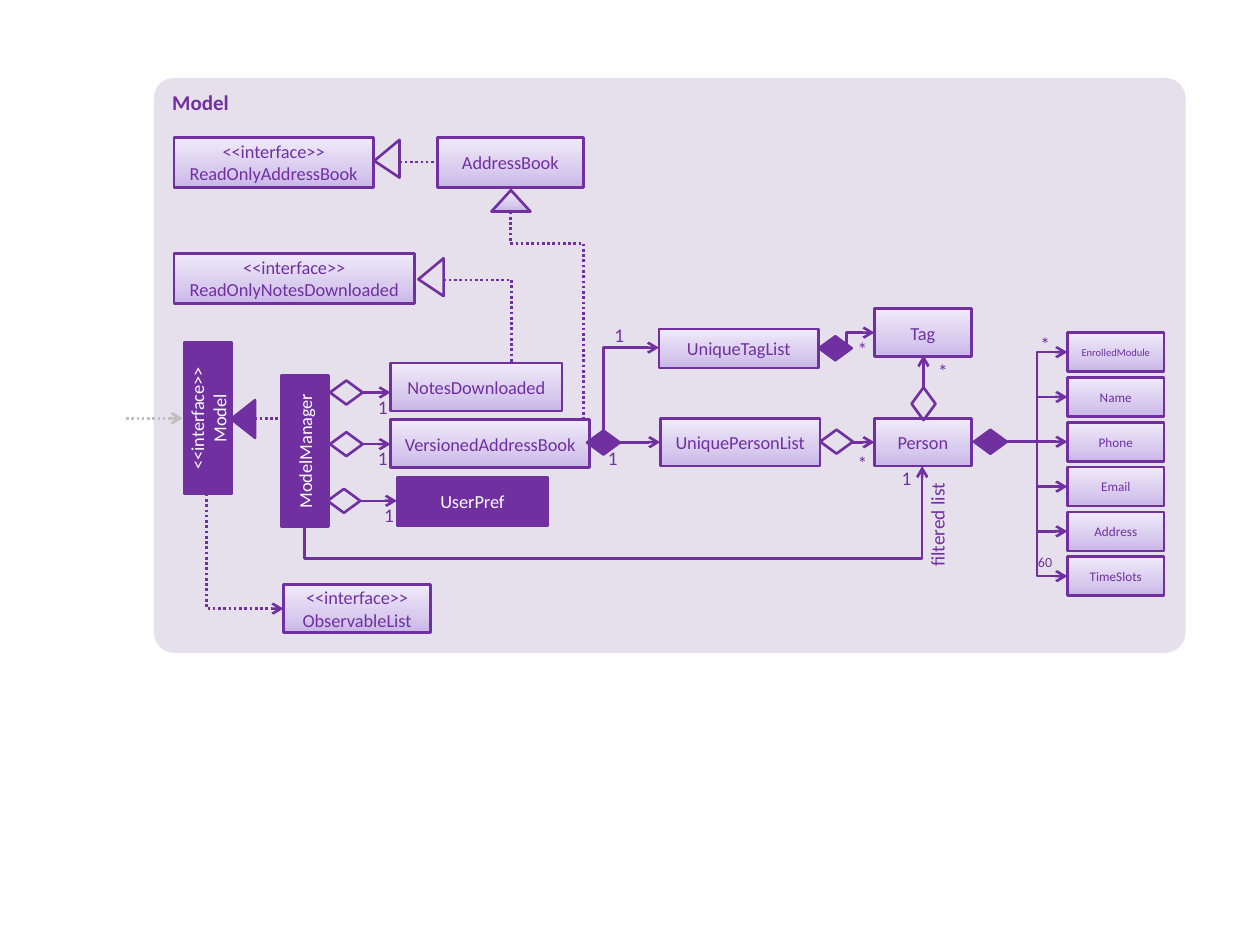
from copy import deepcopy
from dataclasses import dataclass

from lxml import etree
from pptx import Presentation
from pptx.dml.color import RGBColor
from pptx.enum.dml import MSO_LINE
from pptx.enum.shapes import MSO_CONNECTOR, MSO_SHAPE
from pptx.enum.text import MSO_ANCHOR, PP_ALIGN
from pptx.oxml.ns import qn
from pptx.util import Pt

RECT, ROUNDED = MSO_SHAPE.RECTANGLE, MSO_SHAPE.ROUNDED_RECTANGLE
TRIANGLE, DIAMOND = MSO_SHAPE.ISOSCELES_TRIANGLE, MSO_SHAPE.FLOWCHART_DECISION
STRAIGHT, ELBOW = MSO_CONNECTOR.STRAIGHT, MSO_CONNECTOR.ELBOW
DOTTED = MSO_LINE.ROUND_DOT
TOP, MIDDLE = MSO_ANCHOR.TOP, MSO_ANCHOR.MIDDLE
LEFT, CENTER, RIGHT = PP_ALIGN.LEFT, PP_ALIGN.CENTER, PP_ALIGN.RIGHT


@dataclass(frozen=True)
class Theme:
    font: str = "Calibri"
    purple: str = "7030A0"
    panel: str = "E6E0EC"
    white: str = "FFFFFF"
    grey: str = "BFBFBF"
    gradient: tuple = ((0, "C9B5E8"), (0.35, "D8CBEE"), (1, "F0EAF9"))
    title: float = 12
    label: float = 11
    node: float = 10.5
    small_label: float = 8
    field: float = 7.5
    small_field: float = 6
    line: float = 1.5


T = Theme()
GRADIENT = "gradient"
NODE_H = 27.4
DIAMOND_W, DIAMOND_H = 18.7, 13.7


def rgb(value):
    return RGBColor.from_string(value)


def fill_gradient(s):
    s.fill.gradient()
    s.fill.gradient_angle = 90
    stops = s._element.spPr.find(".//" + qn("a:gsLst"))
    stops.insert(1, deepcopy(stops[0]))
    for stop, (position, color) in zip(s.fill.gradient_stops, T.gradient):
        stop.position = position
        stop.color.rgb = rgb(color)


def write(s, text, size, color, align=CENTER, anchor=MIDDLE, bold=False):
    tf = s.text_frame
    tf.word_wrap = True
    tf.vertical_anchor = anchor
    tf.text = text
    for p in tf.paragraphs:
        p.alignment = align
        for r in p.runs:
            r.font.name, r.font.size, r.font.bold = T.font, Pt(size), bold
            r.font.color.rgb = rgb(color)


class Region:
    """Draws parts relative to its top left corner, in points."""

    def __init__(self, slide, x, y):
        self.shapes, self.x, self.y = slide.shapes, x, y

    def frame(self, x, y, w, h, turned):
        """Frame of a part that covers x, y, w, h once turned."""
        if turned:
            x, y, w, h = x + (w - h) / 2, y + (h - w) / 2, h, w
        return [Pt(v) for v in (self.x + x, self.y + y, w, h)]

    def shape(self, kind, x, y, w, h, fill=None, turned=False, outline=True):
        s = self.shapes.add_shape(kind, *self.frame(x, y, w, h, turned))
        s.rotation = 270 if turned else 0
        s.shadow.inherit = False
        if fill == GRADIENT:
            fill_gradient(s)
        elif fill:
            s.fill.solid()
            s.fill.fore_color.rgb = rgb(fill)
        else:
            s.fill.background()
        if outline:
            s.line.color.rgb = rgb(T.purple)
            s.line.width = Pt(T.line)
        else:
            s.line.fill.background()
        return s

    def node(self, text, x, y, w, h=NODE_H, solid=False, turned=False, size=T.node):
        s = self.shape(RECT, x, y, w, h, T.purple if solid else GRADIENT, turned)
        write(s, text, size, T.white if solid else T.purple)

    def diamond(self, x, middle, solid=False):
        self.shape(DIAMOND, x, middle - DIAMOND_H / 2, DIAMOND_W, DIAMOND_H,
                   T.purple if solid else None)

    def label(self, text, x, y, size=T.label):
        sp = self.shapes.add_textbox(*self.frame(x, y, 15, 14.4, False))
        tf = sp.text_frame
        tf.margin_left = tf.margin_top = tf.margin_right = tf.margin_bottom = 0
        write(sp, text, size, T.purple, anchor=TOP)

    def wire(self, start, end, bends=0, vertical=False, adjust=None,
             dash=None, arrow=True, color=T.purple):
        """Line with 0, 1 or 2 bends; vertical means it leaves vertically."""
        (x1, y1), (x2, y2) = start, end
        if vertical:
            cx, cy, dx, dy = (x1 + x2) / 2, (y1 + y2) / 2, x2 - x1, y2 - y1
            x1, y1, x2, y2 = cx - dy / 2, cy + dx / 2, cx + dy / 2, cy - dx / 2
        c = self.shapes.add_connector(
            ELBOW if bends else STRAIGHT, Pt(self.x + x1), Pt(self.y + y1),
            Pt(self.x + x2), Pt(self.y + y2))
        c.rotation = 90 if vertical else 0
        c.line.color.rgb = rgb(color)
        c.line.width = Pt(T.line)
        if dash:
            c.line.dash_style = dash
        spPr = c._element.spPr
        geom = spPr.find(qn("a:prstGeom"))
        if bends == 1:
            geom.set("prst", "bentConnector2")
        if adjust is not None:
            etree.SubElement(geom.find(qn("a:avLst")), qn("a:gd"), name="adj1",
                             fmla=f"val {round(adjust * 100000)}")
        if arrow:
            etree.SubElement(spPr.find(qn("a:ln")), qn("a:tailEnd"), type="arrow")
        etree.SubElement(spPr, qn("a:effectLst"))


def draw_panel(slide, x, y, w, h):
    s = Region(slide, x, y).shape(ROUNDED, 0, 0, w, h, T.panel, outline=False)
    s.adjustments[0] = 0.035
    write(s, "Model", T.title, T.purple, LEFT, TOP, bold=True)


def draw_read_only(slide, x, y):
    box = Region(slide, x, y)
    # Interfaces with their arrowheads
    for name, top, w, head_x, head_y in (
            ("ReadOnlyAddressBook", 0, 114, 114.5, 1.4),
            ("ReadOnlyNotesDownloaded", 66.2, 137.5, 139.7, 69.1)):
        box.node("<<interface>>\v" + name, 0, top, w, 28.8)
        s = box.shape(TRIANGLE, head_x, head_y, 14.4, 21.6, T.panel, turned=True)
        s.adjustments[0] = 0.445
    # Address book and the classes that realise it
    box.node("AddressBook", 150.5, 0, 83.5, 28.8)
    box.shape(TRIANGLE, 181.4, 30.2, 22.3, 12.2, GRADIENT)
    box.wire((128.9, 14), (150.5, 14), dash=DOTTED, arrow=False)
    box.wire((192.2, 42.5), (234, 161), 2, True, 0.152, DOTTED, False)
    box.wire((154.1, 81.4), (193, 129), 1, dash=DOTTED, arrow=False)


def draw_manager(slide, x, y):
    box = Region(slide, x, y)
    # Model interface and its manager
    box.node("<<interface>>\nModel", 0, 0, NODE_H, 86.4, solid=True, turned=True)
    box.node("ModelManager", 55.4, 18.7, NODE_H, 86.4, solid=True, turned=True)
    box.shape(TRIANGLE, 27, 32.8, 13.7, 21.6, T.purple, turned=True)
    box.wire((40.3, 43.2), (57.6, 43.2), dash=DOTTED, arrow=False)
    box.wire((-33.1, 43.2), (-0.7, 43.2), dash=DOTTED, color=T.grey)
    # Parts held by the manager
    for name, left, top, w, diamond_x, middle, solid in (
            ("NotesDownloaded", 118.1, 11.6, 98, 83.5, 28.5, False),
            ("VersionedAddressBook", 118.1, 44, 113.8, 83.5, 58, False),
            ("UserPref", 121.7, 77.1, 86.4, 82.1, 90.4, True)):
        box.node(name, left, top, w, solid=solid)
        box.diamond(diamond_x, middle)
        box.wire((diamond_x + DIAMOND_W, middle), (left, middle))
        box.label("1", left - 12, middle + 1.5)
    # Observable list
    box.node("<<interface>>\vObservableList", 56.9, 138.3, 84.2)
    box.wire((13, 86.4), (56.9, 152), 1, True, dash=DOTTED)
    # Filtered list of persons
    box.wire((69.1, 105.1), (421.9, 70.6), 2, True, -0.527)
    box.label("1", 405.4, 70.6)
    sp = box.shapes.add_textbox(*box.frame(420.1, 73.1, 20.9, 69.1, True))
    sp.rotation = 270
    write(sp, "filtered list", T.label, T.purple, RIGHT, TOP)


def draw_lists(slide, x, y):
    box = Region(slide, x, y)
    # Classes
    for name, left, top, w, h in (
            ("UniqueTagList", 41, 11.5, 91.4, 22.3),
            ("UniquePersonList", 41.8, 62.6, 91.4, NODE_H),
            ("Tag", 164.2, 0, 55.4, NODE_H),
            ("Person", 164.2, 62.6, 55.4, NODE_H)):
        box.node(name, left, top, w, h)
    # Links
    box.wire((18.7, 76.3), (41.8, 76.3))
    box.wire((9.4, 69.8), (41, 22.3), 1, True)
    box.wire((151.2, 76.3), (164.2, 76.3))
    box.wire((132.5, 22.3), (164.2, 13.7), 2)
    box.wire((192.2, 44.6), (192.2, 26.6))
    # Aggregation marks
    box.diamond(0, 76.5, solid=True)
    box.diamond(132.5, 22.6, solid=True)
    box.diamond(133.2, 76)
    box.shape(DIAMOND, 185.4, 45, DIAMOND_H, DIAMOND_W, turned=True)
    # Multiplicities
    for text, left, top in (("1", 7.2, 78.5), ("1", 10.8, 8.6), ("*", 149.8, 81.4),
                            ("*", 195.8, 28.8), ("*", 149.8, 16.6)):
        box.label(text, left, top)


def draw_person_fields(slide, x, y, pitch=25.6, h=22.3):
    box = Region(slide, x, y)
    names = ("EnrolledModule", "Name", "Phone", "Email", "Address", "TimeSlots")
    hub = 2 * pitch + h / 2
    box.diamond(0, hub, solid=True)
    for i, name in enumerate(names):
        middle = i * pitch + h / 2
        box.node(name, 53.3, i * pitch, 55.4, h,
                 size=T.small_field if i == 0 else T.field)
        box.wire((DIAMOND_W, hub), (53.3, middle), 0 if middle == hub else 2)
    box.label("*", 33.1, 0)
    box.label("60", 33.1, 126, T.small_label)


prs = Presentation()
prs.slide_width, prs.slide_height = Pt(720), Pt(540)
slide = prs.slides.add_slide(prs.slide_layouts[6])
draw_panel(slide, 88, 44.5, 589.5, 328.5)
draw_manager(slide, 105.1, 195.8)
draw_lists(slide, 335.5, 176.4)
draw_read_only(slide, 99.4, 78.5)
draw_person_fields(slide, 556.6, 190.1)
prs.save("out.pptx")
